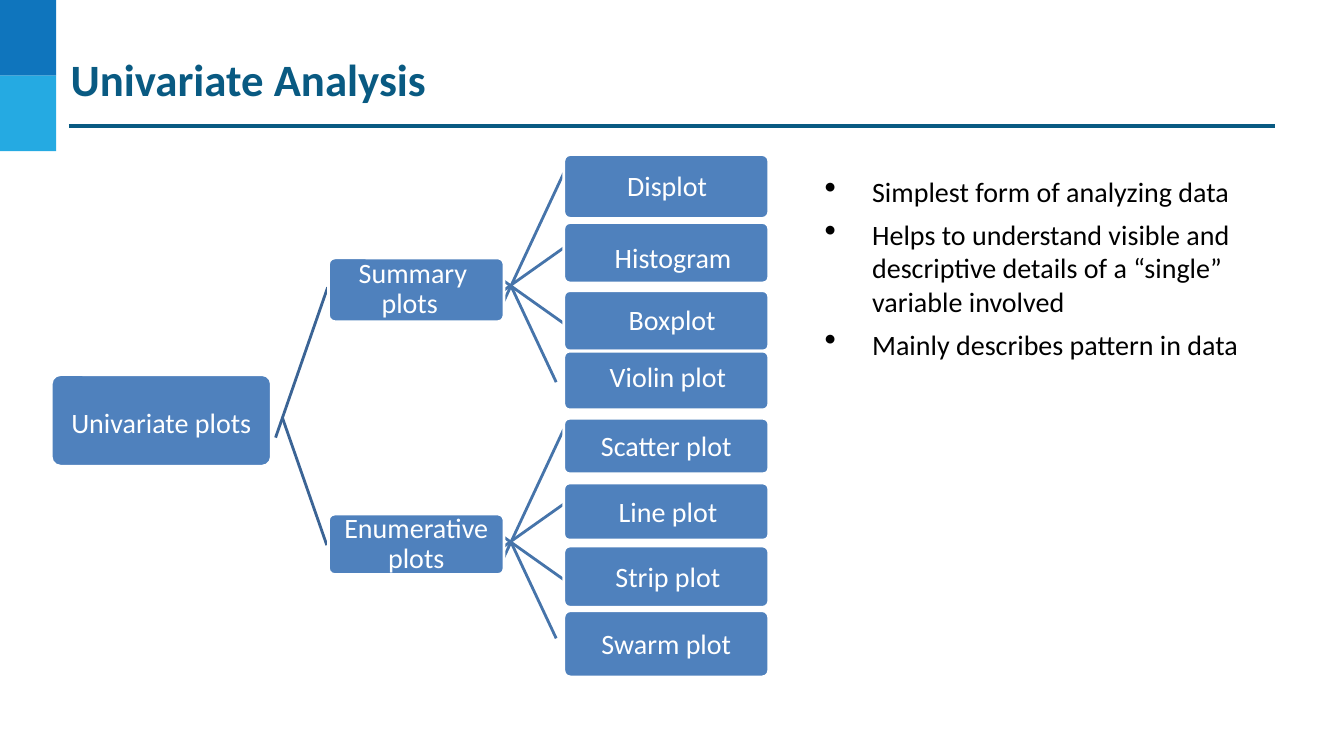
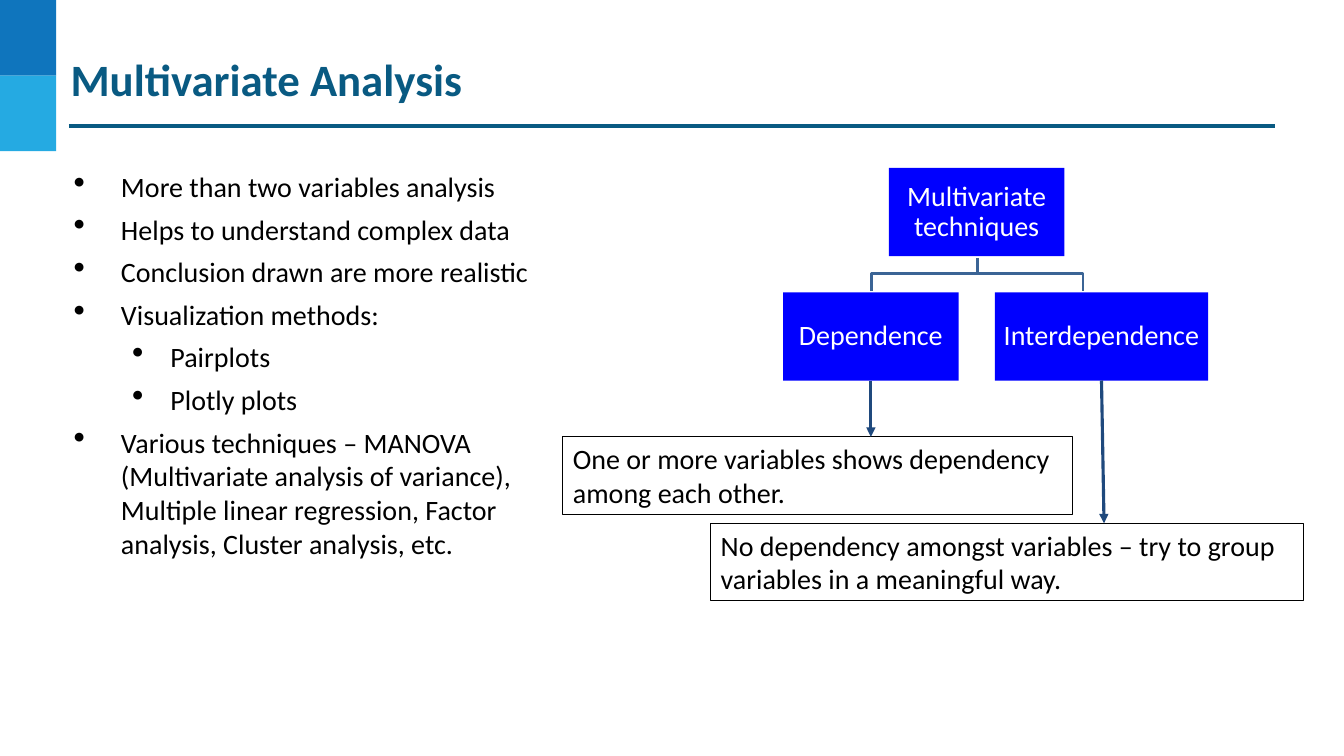
from lxml import etree
from pptx import Presentation, util as u
from pptx.dml.color import RGBColor
from pptx.enum import shapes as sh, text as tx
from pptx.oxml.ns import qn

NAVY = RGBColor(0x09, 0x5A, 0x82)
BAND = RGBColor(0x0F, 0x75, 0xBD)
SKY = RGBColor(0x25, 0xAA, 0xE2)
STEEL = RGBColor(0x4F, 0x81, 0xBD)
TRUNK = RGBColor(0x3B, 0x64, 0x95)
TWIG = RGBColor(0x46, 0x74, 0xAA)
ARROW = RGBColor(0x1F, 0x49, 0x7D)
BLUE = RGBColor(0x00, 0x00, 0xFF)
BLACK = RGBColor(0x00, 0x00, 0x00)
WHITE = RGBColor(0xFF, 0xFF, 0xFF)
FONT = "Calibri"
RECT = sh.MSO_SHAPE.RECTANGLE
ROUND = sh.MSO_SHAPE.ROUNDED_RECTANGLE

# The slide is a grid of 160 columns by 90 rows of square cells.
deck = Presentation()
deck.slide_width, deck.slide_height = u.Inches(13.33), u.Inches(7.5)
CELL = deck.slide_height // 90


def box(page, area, kind=None, fill=None, edge=None, wide=0.75, lines=(),
        ink=BLACK, size=20, bold=False, mid=False, pad=(0.2, 0.2, 0.2, 0.2)):
    """Add a shape (a text box without kind); area and pad are in cells."""
    area = [round(n * CELL) for n in area]
    if kind is None:
        item = page.shapes.add_textbox(*area)
    else:
        item = page.shapes.add_shape(kind, *area)
        item.shadow.inherit = False
    if kind == ROUND:
        item.adjustments[0] = 0.1
    if fill is None:
        item.fill.background()
    else:
        item.fill.solid()
        item.fill.fore_color.rgb = fill
    if edge is None:
        item.line.fill.background()
    else:
        item.line.color.rgb = edge
        item.line.width = u.Pt(wide)
    frame = item.text_frame
    frame.word_wrap = True
    frame.vertical_anchor = tx.MSO_ANCHOR.MIDDLE if mid else tx.MSO_ANCHOR.TOP
    (frame.margin_left, frame.margin_top,
     frame.margin_right, frame.margin_bottom) = [round(n * CELL) for n in pad]
    for i, words in enumerate(lines):
        para = frame.add_paragraph() if i else frame.paragraphs[0]
        para.alignment = tx.PP_ALIGN.CENTER if mid else tx.PP_ALIGN.LEFT
        if mid:
            para.line_spacing = 0.9
        run = para.add_run()
        run.text = words
        run.font.name, run.font.size, run.font.bold = FONT, u.Pt(size), bold
        run.font.color.rgb = ink
    return item


def wire(page, start, end, color, wide=2, head=False):
    ends = [round(n * CELL) for n in (*start, *end)]
    line = page.shapes.add_connector(sh.MSO_CONNECTOR.STRAIGHT, *ends)
    line.line.color.rgb = color
    line.line.width = u.Pt(wide)
    if head:
        etree.SubElement(line.line._get_or_add_ln(), qn("a:tailEnd"), type="triangle")
    etree.SubElement(line._element.spPr, qn("a:effectLst"))
    return line


# Title, bands, rule and bullet list of each slide; lists hold (level, words)
plan = [
    ("Univariate Analysis", (97.6, 20.6, 54.2, 33.7), [
        (0, "Simplest form of analyzing data"),
        (0, "Helps to understand visible and descriptive details of a “single” variable involved"),
        (0, "Mainly describes pattern in data")]),
    ("Multivariate Analysis", (8.2, 20, 61.3, 47.9), [
        (0, "More than two variables analysis"),
        (0, "Helps to understand complex data"),
        (0, "Conclusion drawn are more realistic"),
        (0, "Visualization methods:"),
        (1, "Pairplots"),
        (1, "Plotly plots"),
        (0, "Various techniques – MANOVA (Multivariate analysis of variance), "
            "Multiple linear regression, Factor analysis, Cluster analysis, etc.")]),
]
INDENT = [(0.5, -0.47), (0.99, -0.38)]
pages = []
for title, area, items in plan:
    page = deck.slides.add_slide(deck.slide_layouts[6])
    pages.append(page)
    for row, color in enumerate((BAND, SKY)):
        box(page, (0, 9 * row, 6.7, 9), RECT, color)
    wire(page, (8.2, 15), (151.8, 15), NAVY, 2.25)
    box(page, (8.2, 6, 143.6, 6.5), lines=[title], ink=NAVY, size=32, bold=True)
    body = box(page, area, lines=[words for _, words in items])
    for para, (level, _) in zip(body.text_frame.paragraphs, items):
        para.level = level
        para.space_before = u.Pt(6.4)
        prop = para._p.get_or_add_pPr()
        left, hang = INDENT[level]
        prop.set("marL", str(u.Inches(left)))
        prop.set("indent", str(u.Inches(hang)))
        tint = etree.SubElement(prop, qn("a:buClr"))
        etree.SubElement(tint, qn("a:srgbClr"), val=str(BLACK))
        etree.SubElement(prop, qn("a:buSzPct"), val="120000")
        etree.SubElement(prop, qn("a:buChar"), char="•")

uni, multi = pages

# Univariate tree: trunk lines, a fan of twigs from each hub, then the nodes
wire(uni, (32.8, 52.1), (39, 34.2), TRUNK)
wire(uni, (33.6, 49.7), (38.9, 64.9), TRUNK)
FAN = [((-0.9, 2), (6.3, -13.4)), ((-0.9, 0.6), (6.3, -4.5)),
       ((-0.9, -0.6), (6.3, 4.5)), ((0, 0), (5.4, 11.5))]
for hub in (34, 64.5):
    for (x1, y1), (x2, y2) in FAN:
        wire(uni, (60.8 + x1, hub + y1), (60.8 + x2, hub + y2), TWIG)

# Each column: left, width, side padding, nodes (top, height, words, text shift)
tree = [
    (6.1, 26.2, 0.1, [(44.6, 10.9, "Univariate plots", 0, 0.5)]),
    (39.1, 20.9, 1.5, [(30.7, 7.6, "Summary plots ", -0.4, 0)]),
    (39.1, 20.9, 0.1, [(61.2, 7.2, "Enumerative plots", 0, 0)]),
    (67.1, 24.4, 0.1, [
        (18.4, 7.6, "Displot", 0.1, 0.1),
        (26.5, 7.2, "Histogram", 0.8, 0.8),
        (34.6, 7.2, "Boxplot", 0.7, 0.1),
        (41.8, 7, "Violin plot", 0.2, -0.2),
        (49.8, 6.6, "Scatter plot", 0, 0.2),
        (57.5, 6.8, "Line plot", 0.2, 0.2),
        (65, 7.3, "Strip plot", 0.2, 0.2),
        (72.7, 7.9, "Swarm plot", 0, 0.2)]),
]
for left, width, side, nodes in tree:
    for top, height, words, dx, dy in nodes:
        pad = (side + max(2 * dx, 0), max(2 * dy, 0),
               side + max(-2 * dx, 0), max(-2 * dy, 0))
        box(uni, (left, top, width, height), ROUND, STEEL, WHITE, 2,
            [words], WHITE, mid=True, pad=pad)

# Multivariate tree: a stem and a fork under the top box
fork = [(103.7, 34.6), (103.7, 32.6), (128.9, 32.6), (128.9, 34.6)]
stem = [(116.3, 30.7), (116.3, 32.6)]
fork, stem = [[(round(x * CELL), round(y * CELL)) for x, y in path] for path in (fork, stem)]
pen = multi.shapes.build_freeform(*fork[0])
pen.add_line_segments(fork[1:], close=False)
pen.move_to(*stem[0])
pen.add_line_segments(stem[1:], close=False)
link = pen.convert_to_shape()
link.shadow.inherit = False
link.fill.background()
link.line.color.rgb = TRUNK
link.line.width = u.Pt(2)

top, dep, inter = [
    box(multi, (x, y, w, 10.5), RECT, BLUE, lines=[words], ink=WHITE, mid=True,
        pad=(0.1, 0.1, 0.1, 0.1))
    for x, y, w, words in [(105.8, 20, 20.9, "Multivariate techniques"),
                           (93.2, 34.8, 20.9, "Dependence"),
                           (118.4, 34.8, 25.4, "Interdependence")]]

notes = [
    (dep, (67, 52, 60.6, 9.2), 103.65,
     "One or more variables shows dependency among each other."),
    (inter, (84.6, 62.3, 70.6, 9.2), 131.4,
     "No dependency amongst variables – try to group variables in a meaningful way."),
]
for node, area, tip, words in notes:
    box(multi, area, RECT, edge=BLACK, lines=[words], pad=(1.2, 0.6, 1.2, 0.6))
    line = wire(multi, (tip, 45.3), (tip, area[1]), ARROW, 2.25, head=True)
    line.begin_connect(node, 2)

deck.save("out.pptx")
